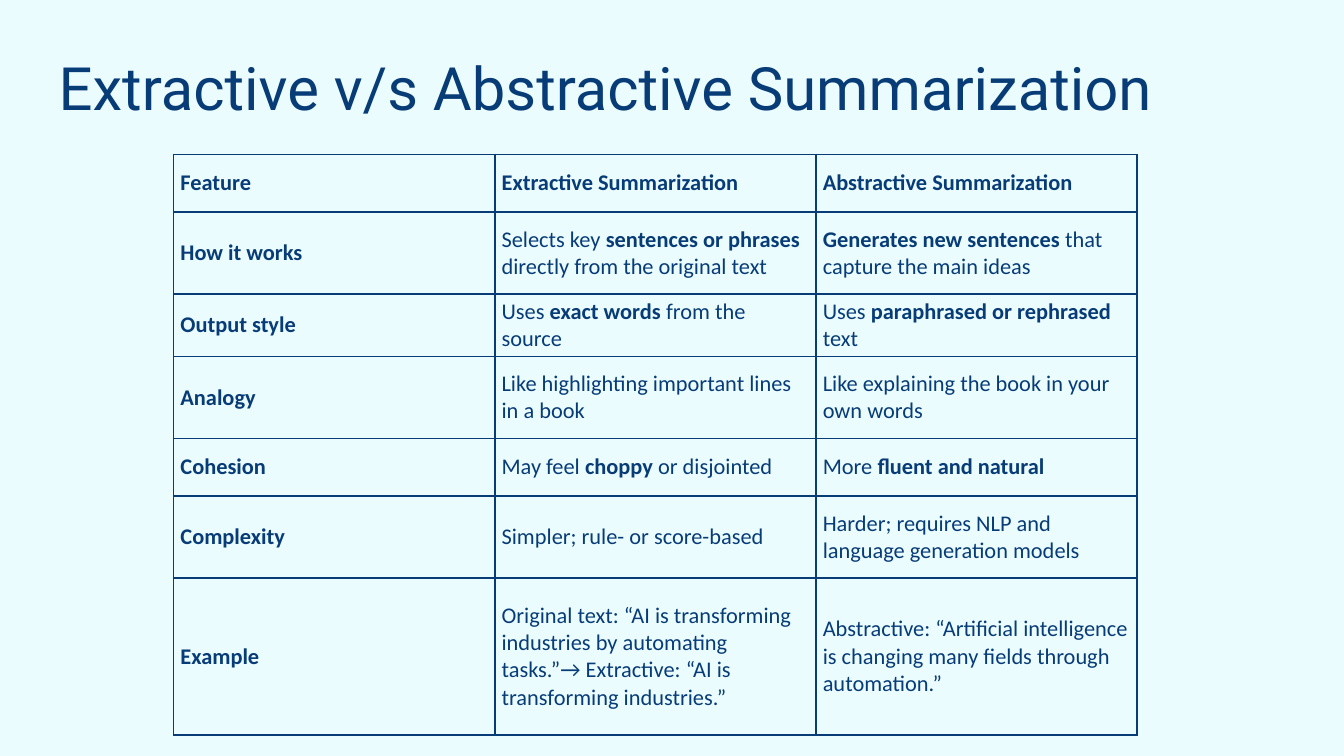
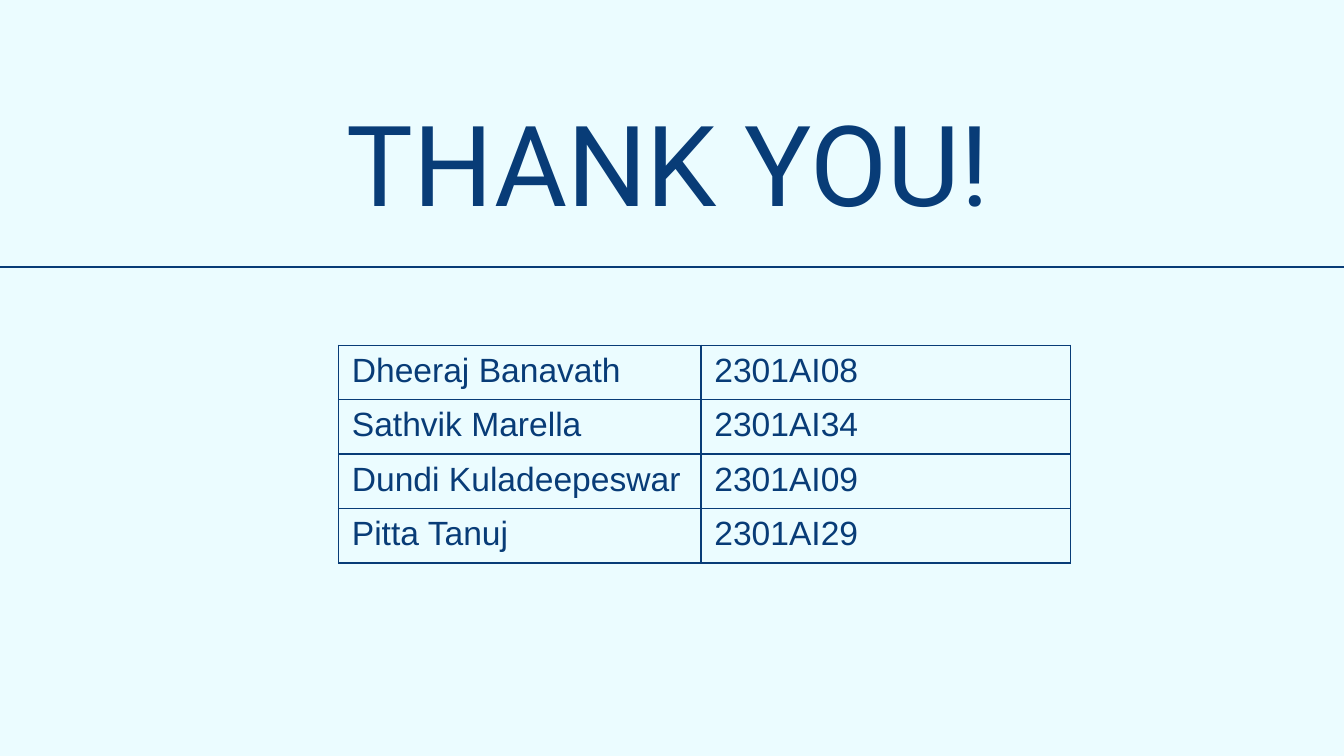
from dataclasses import dataclass

from lxml import etree
from pptx import Presentation
from pptx.dml.color import RGBColor
from pptx.enum.shapes import MSO_CONNECTOR as Connector
from pptx.enum.text import MSO_ANCHOR as Anchor, PP_ALIGN as Align
from pptx.oxml.ns import qn
from pptx.util import Cm, Pt

SLIDE_WIDTH, SLIDE_HEIGHT = 25.4, 14.29


@dataclass(frozen=True)
class Theme:
    ink: str = "083C77"
    paper: str = "EBFCFF"
    title_font: str = "Roboto"
    feature_font: str = "Calibri"
    member_font: str = "Arial"
    title_size: int = 32
    closing_size: int = 60
    feature_size: int = 12
    member_size: int = 18
    border: float = 1
    rule: float = 0.75


class SlideBuilder:
    def __init__(self, deck, theme):
        self.deck = deck
        self.theme = theme
        self.ink = RGBColor.from_string(theme.ink)
        self.page = None

    def new_page(self):
        self.page = self.deck.slides.add_slide(self.deck.slide_layouts[6])
        fill = self.page.background.fill
        fill.solid()
        fill.fore_color.rgb = RGBColor.from_string(self.theme.paper)

    def add_text(self, para, text, font, size):
        para.font.name = font
        para.font.size = Pt(size)
        para.font.color.rgb = self.ink
        for index, part in enumerate(text.split("**")):
            if part:
                span = para.add_run()
                span.text = part
                span.font.bold = index % 2 == 1

    def title(self, text, left, top, width, height, size, align=Align.LEFT, spacing=1.0):
        box = self.page.shapes.add_textbox(Cm(left), Cm(top), Cm(width), Cm(height))
        frame = box.text_frame
        frame.word_wrap = True
        frame.vertical_anchor = Anchor.BOTTOM
        frame.margin_left = frame.margin_right = Cm(0.25)
        frame.margin_top = frame.margin_bottom = Cm(0.25)
        para = frame.paragraphs[0]
        para.alignment = align
        para.line_spacing = spacing
        self.add_text(para, text, self.theme.title_font, size)

    def border(self, cell):
        properties = cell._tc.get_or_add_tcPr()
        for side in ("lnL", "lnR", "lnT", "lnB"):
            line = etree.SubElement(properties, qn(f"a:{side}"), w=str(Pt(self.theme.border)))
            fill = etree.SubElement(line, qn("a:solidFill"))
            etree.SubElement(fill, qn("a:srgbClr"), val=self.theme.ink)

    def table(self, rows, left, top, widths, heights, font, size,
              margins=(0.25, 0.13), anchor=Anchor.TOP):
        frame = self.page.shapes.add_table(
            len(rows), len(widths), Cm(left), Cm(top), Cm(sum(widths)), Cm(sum(heights)))
        table = frame.table
        table.first_row = table.horz_banding = False
        for column, width in zip(table.columns, widths):
            column.width = Cm(width)
        for row, height, texts in zip(table.rows, heights, rows):
            row.height = Cm(height)
            for cell, text in zip(row.cells, texts):
                self.border(cell)
                cell.fill.background()
                cell.margin_left = cell.margin_right = Cm(margins[0])
                cell.margin_top = cell.margin_bottom = Cm(margins[1])
                cell.vertical_anchor = anchor
                self.add_text(cell.text_frame.paragraphs[0], text, font, size)

    def rule(self, left, right, top):
        line = self.page.shapes.add_connector(
            Connector.STRAIGHT, Cm(left), Cm(top), Cm(right), Cm(top))
        line.line.color.rgb = self.ink
        line.line.width = Pt(self.theme.rule)
        etree.SubElement(line._element.spPr, qn("a:effectLst"))


FEATURES = [
    ("**Feature**", "**Extractive Summarization**", "**Abstractive Summarization**"),
    ("**How it works**",
     "Selects key **sentences or phrases** directly from the original text",
     "**Generates new sentences** that capture the main ideas"),
    ("**Output style**",
     "Uses **exact words** from the source",
     "Uses **paraphrased or rephrased** text"),
    ("**Analogy**",
     "Like highlighting important lines in a book",
     "Like explaining the book in your own words"),
    ("**Cohesion**", "May feel **choppy** or disjointed", "More **fluent and natural**"),
    ("**Complexity**",
     "Simpler; rule- or score-based",
     "Harder; requires NLP and language generation models"),
    ("**Example**",
     "Original text: “AI is transforming industries by automating tasks.”"
     "→ Extractive: “AI is transforming industries.”",
     "Abstractive: “Artificial intelligence is changing many fields through automation.”"),
]

MEMBERS = [
    ("Dheeraj Banavath", "2301AI08"),
    ("Sathvik Marella", "2301AI34"),
    ("Dundi Kuladeepeswar", "2301AI09"),
    ("Pitta Tanuj", "2301AI29"),
]


def comparison_page(builder):
    theme = builder.theme
    builder.new_page()
    builder.title("Extractive v/s Abstractive Summarization",
                  0.86, 0.3, 24.13, 2.29, theme.title_size, spacing=0.9)
    short, tall, example = 1.09, 1.55, 2.97
    builder.table(FEATURES, 3.28, 2.92, [6.07] * 3,
                  [short, tall, short, tall, short, tall, example],
                  theme.feature_font, theme.feature_size, (0.13, 0.08), Anchor.MIDDLE)


def closing_page(builder):
    theme = builder.theme
    builder.new_page()
    builder.title("THANK YOU!", -5.18, 0, 24.13, 4.57, theme.closing_size, Align.RIGHT)
    builder.table(MEMBERS, 6.4, 6.53, [6.85, 6.98], [0.97] + [1.03] * 3,
                  theme.member_font, theme.member_size)
    builder.rule(-0.23, SLIDE_WIDTH + 0.23, 5.05)


def main():
    deck = Presentation()
    deck.slide_width, deck.slide_height = Cm(SLIDE_WIDTH), Cm(SLIDE_HEIGHT)
    builder = SlideBuilder(deck, Theme())
    comparison_page(builder)
    closing_page(builder)
    deck.save("out.pptx")


if __name__ == "__main__":
    main()
